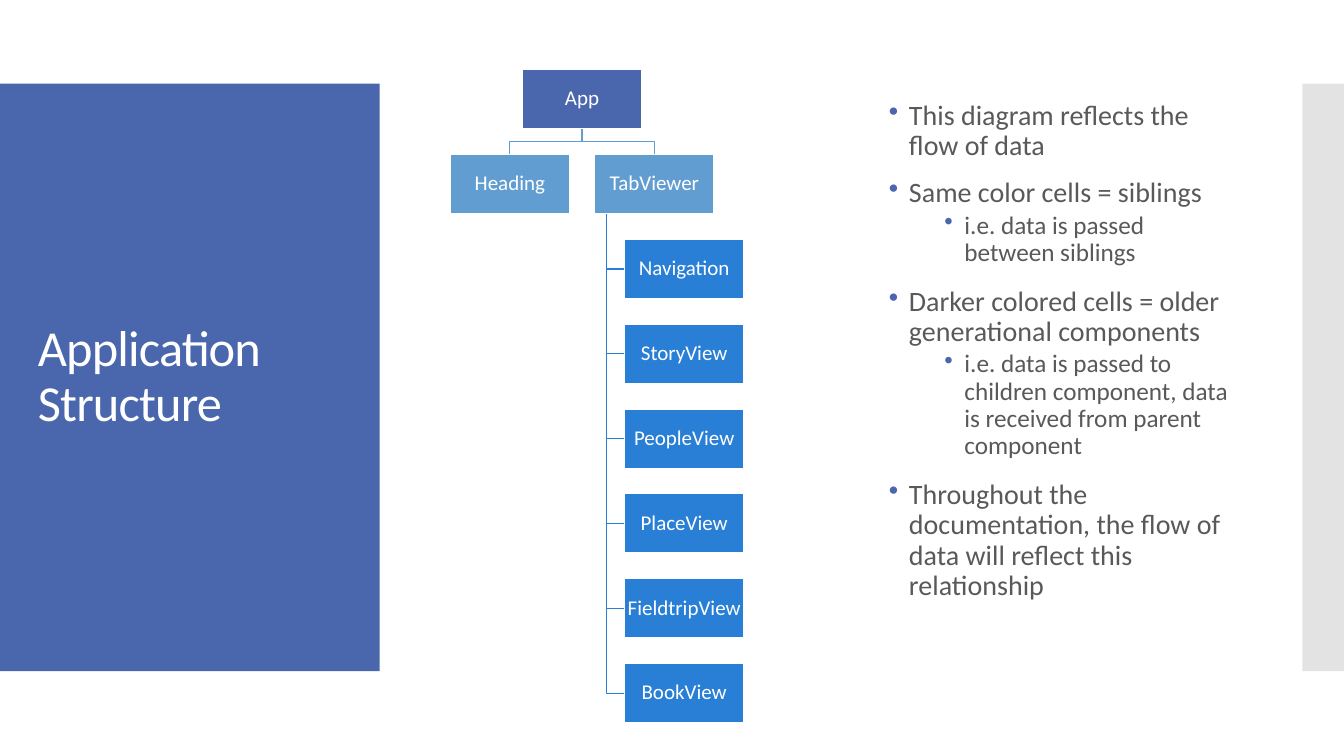
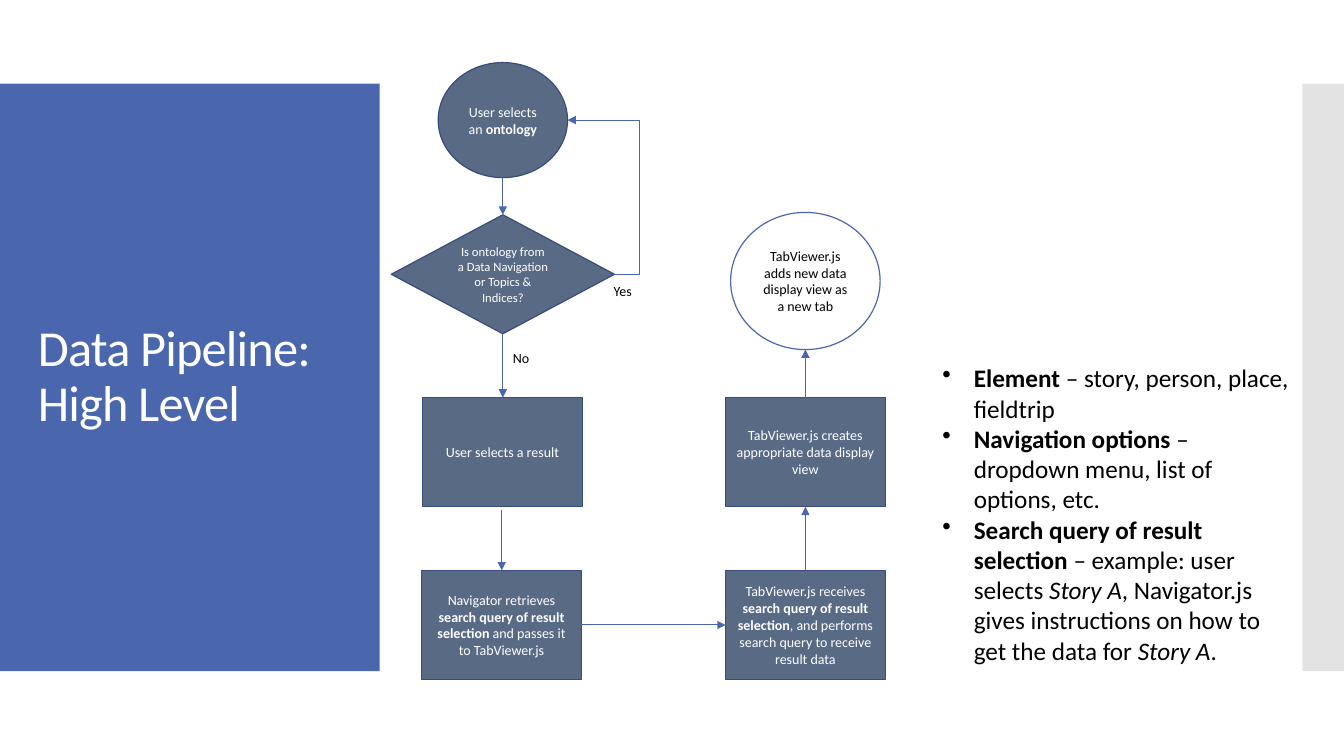
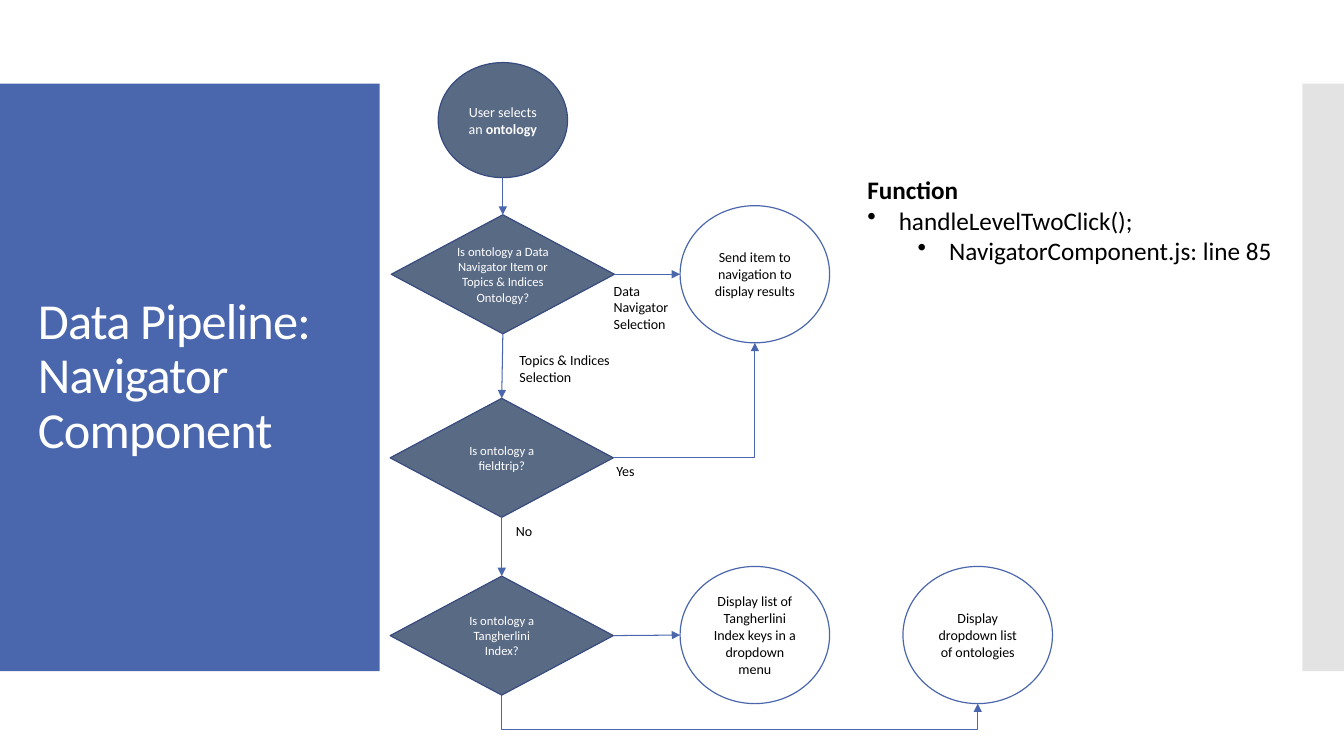
import dataclasses

import pptx
import pptx.dml.color
import pptx.enum.shapes
import pptx.enum.text
import pptx.oxml.ns
import pptx.util
from lxml import etree

Pt = pptx.util.Pt
RGB = pptx.dml.color.RGBColor.from_string
qn = pptx.oxml.ns.qn
SHAPE = pptx.enum.shapes.MSO_SHAPE
CONNECTOR = pptx.enum.shapes.MSO_CONNECTOR
ALIGN = pptx.enum.text.PP_ALIGN
ANCHOR = pptx.enum.text.MSO_ANCHOR


@dataclasses.dataclass
class Theme:
    font: str = "Calibri"
    accent: str = "4A66AC"
    strip: str = "C8C8C8"
    sibling: str = "629DD1"
    child: str = "297FD5"
    slate: str = "596A85"
    outline: str = "374B7F"
    white: str = "FFFFFF"
    black: str = "000000"
    grey: str = "595959"
    title: float = 36
    body: float = 20
    note: float = 18
    cell: float = 15
    node: float = 10
    test: float = 9
    thin: float = 0.75
    line: float = 0.85


theme = Theme()


def write(tf, paras, size, color, align=ALIGN.LEFT, anchor=ANCHOR.TOP,
          hang=0, bullet=theme.black):
    """Each paragraph is (indent, runs), each run (text, style); an indent gives a bullet."""
    tf.word_wrap = True
    tf.vertical_anchor = anchor
    for i, (indent, runs) in enumerate(paras):
        p = tf.paragraphs[0] if i == 0 else tf.add_paragraph()
        p.alignment = align
        for text, style in runs:
            r = p.add_run()
            r.text = text
            r.font.name = theme.font
            r.font.size = Pt(size)
            r.font.color.rgb = RGB(color)
            r.font.bold = style == "b"
            r.font.italic = style == "i"
        if indent:
            pPr = p._p.get_or_add_pPr()
            pPr.set("marL", str(Pt(indent)))
            pPr.set("indent", str(Pt(-hang)))
            buClr = etree.SubElement(pPr, qn("a:buClr"))
            etree.SubElement(buClr, qn("a:srgbClr"), val=bullet)
            etree.SubElement(pPr, qn("a:buChar"), char="•")


def arrow(s, kind, x1, y1, x2, y2):
    c = s.shapes.add_connector(kind, Pt(x1), Pt(y1), Pt(x2), Pt(y2))
    c.line.color.rgb = RGB(theme.accent)
    c.line.width = Pt(theme.thin)
    etree.SubElement(c.line._get_or_add_ln(), qn("a:tailEnd"), type="triangle")
    etree.SubElement(c._element.spPr, qn("a:effectLst"))
    return c


prs = pptx.Presentation()
prs.slide_width, prs.slide_height = Pt(960), Pt(540)

# Shared frame: title panel, right strip, title
titles = ["Application Structure", "Data Pipeline: High Level",
          "Data Pipeline: Navigator Component"]
for title in titles:
    s = prs.slides.add_slide(prs.slide_layouts[6])
    for left, width, color in [(0, 271.2, theme.accent), (930.4, 29.6, theme.strip)]:
        sp = s.shapes.add_shape(SHAPE.RECTANGLE, Pt(left), Pt(59.8), Pt(width), Pt(419.6))
        sp.shadow.inherit = False
        sp.fill.solid()
        sp.fill.fore_color.rgb = RGB(color)
        sp.line.fill.background()
    strip_color = sp._element.spPr.find(qn("a:solidFill")).find(qn("a:srgbClr"))
    etree.SubElement(strip_color, qn("a:alpha"), val="50000")
    sp = s.shapes.add_textbox(Pt(20), Pt(88.6), Pt(232), Pt(362))
    write(sp.text_frame, [(0, [(title, "")])], theme.title, theme.white, anchor=ANCHOR.MIDDLE)
    p = sp.text_frame.paragraphs[0]
    p.line_spacing = 0.9
    p.runs[0].font._element.set("spc", "-60")

structure, high_level, navigator = prs.slides

# Structure: remarks
remarks = [
    (0, "This diagram reflects the flow of data"),
    (0, "Same color cells = siblings"),
    (1, "i.e. data is passed between siblings"),
    (0, "Darker colored cells = older generational components"),
    (1, "i.e. data is passed to children component, data is received from parent component"),
    (0, "Throughout the documentation, the flow of data will reflect this relationship"),
]
sp = structure.shapes.add_textbox(Pt(627.8), Pt(42.5), Pt(262), Pt(417))
write(sp.text_frame, [(54 if level else 14.4, [(text, "")]) for level, text in remarks],
      theme.body, theme.grey, anchor=ANCHOR.MIDDLE, hang=14.4, bullet=theme.accent)
for p, (level, text) in zip(sp.text_frame.paragraphs, remarks):
    p.line_spacing = 0.9
    p.space_before = Pt(2.5 if level else 12)
    if level:
        p.space_after = Pt(2.5)
        p.runs[0].font.size = Pt(theme.note)

# Structure: tree on a grid of equal rows
cell_w, cell_h, tree_top, row_step = 85, 42.4, 49.7, 60.6
app_x, heading_x, viewer_x, child_x = 373.2, 321.7, 424.9, 446.2
children = ["Navigation", "StoryView", "PeopleView", "PlaceView", "FieldtripView", "BookView"]
cells = [("App", app_x, 0, theme.accent), ("Heading", heading_x, 1, theme.sibling),
         ("TabViewer", viewer_x, 1, theme.sibling)]
cells += [(name, child_x, row, theme.child) for row, name in enumerate(children, 2)]

app_mid, app_bottom = app_x + cell_w / 2, tree_top + cell_h
sibling_top = tree_top + row_step
bend_y = (app_bottom + sibling_top) / 2
trunk_x = viewer_x + cell_w / 10
branches = []
for left in (heading_x, viewer_x):
    mid = left + cell_w / 2
    branches.append((theme.sibling, [(app_mid, app_bottom), (app_mid, bend_y),
                                     (mid, bend_y), (mid, sibling_top)]))
for name, left, row, color in cells[3:]:
    y = tree_top + row * row_step + cell_h / 2
    branches.append((theme.child, [(trunk_x, sibling_top + cell_h), (trunk_x, y), (left, y)]))
for color, points in branches:
    points = [(Pt(x), Pt(y)) for x, y in points]
    fb = structure.shapes.build_freeform(*points[0])
    fb.add_line_segments(points[1:], close=False)
    sp = fb.convert_to_shape()
    sp.shadow.inherit = False
    sp.fill.background()
    sp.line.color.rgb = RGB(color)
    sp.line.width = Pt(theme.line)

for name, left, row, color in cells:
    sp = structure.shapes.add_shape(SHAPE.RECTANGLE, Pt(left), Pt(tree_top + row * row_step),
                                    Pt(cell_w), Pt(cell_h))
    sp.shadow.inherit = False
    sp.fill.solid()
    sp.fill.fore_color.rgb = RGB(color)
    sp.line.color.rgb = RGB(theme.white)
    sp.line.width = Pt(theme.line)
    tf = sp.text_frame
    tf.margin_left = tf.margin_right = tf.margin_top = tf.margin_bottom = Pt(0.7)
    write(tf, [(0, [(name, "")])], theme.cell, theme.white, ALIGN.CENTER, ANCHOR.MIDDLE)
    tf.paragraphs[0].line_spacing = 0.9

# Flowcharts: node kinds as shape, width, height, fill, line, text colour, size
kinds = {
    "start": (SHAPE.OVAL, 92.4, 82.2, theme.slate, theme.outline, theme.white, theme.node),
    "step": (SHAPE.RECTANGLE, 114, 78, theme.slate, theme.outline, theme.white, theme.node),
    "test": (SHAPE.DIAMOND, 159.4, 85, theme.slate, theme.outline, theme.white, theme.test),
    "end": (SHAPE.OVAL, 106.8, 98, theme.white, theme.accent, theme.black, theme.node),
}

# Flowcharts: nodes as slide, kind, centre x, centre y, runs
start_runs = [("User selects an ", ""), ("ontology", "b")]
nodes = [
    (high_level, "start", 359.2, 85.8, start_runs),
    (high_level, "test", 359.2, 195.9,
     [("Is ontology from a Data Navigation or Topics & Indices?", "")]),
    (high_level, "step", 358.9, 323, [("User selects a result", "")]),
    (high_level, "step", 358.2, 446.4,
     [("Navigator retrieves ", ""), ("search query of result selection ", "b"),
      ("and passes it to TabViewer.js", "")]),
    (high_level, "step", 575.3, 446.4,
     [("TabViewer.js receives ", ""), ("search query of result selection", "b"),
      (", and performs search query to receive result data", "")]),
    (high_level, "step", 575.3, 323,
     [("TabViewer.js creates appropriate data display view", "")]),
    (high_level, "end", 575.3, 200.7,
     [("TabViewer.js adds new data display view as a new tab", "")]),
    (navigator, "start", 359.2, 85.8, start_runs),
    (navigator, "test", 359.2, 195.9,
     [("Is ontology a Data Navigator Item or Topics & Indices Ontology?", "")]),
    (navigator, "test", 358.4, 327, [("Is ontology a fieldtrip?", "")]),
    (navigator, "test", 358.4, 454, [("Is ontology a Tangherlini Index?", "")]),
    (navigator, "end", 539.2, 195.9, [("Send item to navigation to display results", "")]),
    (navigator, "end", 539.2, 453.6,
     [("Display list of Tangherlini Index keys in a dropdown menu", "")]),
    (navigator, "end", 698.4, 453.6, [("Display dropdown list of ontologies", "")]),
]
for s, kind, x, y, runs in nodes:
    shape, w, h, fill, line, color, size = kinds[kind]
    sp = s.shapes.add_shape(shape, Pt(x - w / 2), Pt(y - h / 2), Pt(w), Pt(h))
    sp.shadow.inherit = False
    sp.fill.solid()
    sp.fill.fore_color.rgb = RGB(fill)
    sp.line.color.rgb = RGB(line)
    sp.line.width = Pt(theme.line)
    write(sp.text_frame, [(0, runs)], size, color, ALIGN.CENTER, ANCHOR.MIDDLE)

# Flowcharts: straight arrows
for s, x1, y1, x2, y2 in [
    (high_level, 359.2, 126.9, 359.2, 153.4),
    (high_level, 359.2, 238.4, 359.2, 284),
    (high_level, 358.4, 364.4, 358.4, 407.4),
    (high_level, 415.2, 446.4, 518.3, 446.4),
    (high_level, 575.3, 407.4, 575.3, 362),
    (high_level, 575.3, 284, 575.3, 249.7),
    (navigator, 359.2, 126.9, 359.2, 153.4),
    (navigator, 359.2, 238.4, 358.4, 284.5),
    (navigator, 358.4, 369.5, 358.4, 411.5),
    (navigator, 438.1, 454, 485.8, 453.6),
    (navigator, 438.9, 195.9, 485.8, 195.9),
]:
    arrow(s, CONNECTOR.STRAIGHT, x1, y1, x2, y2)

# Flowcharts: bent arrows as slide, ends, preset, bend position, rotation
for s, ends, preset, bend, turn in [
    (high_level, (438.9, 195.9, 405.4, 85.8), "bentConnector3", -53600, 0),
    (navigator, (438.1, 327, 539.2, 244.9), "bentConnector2", None, 0),
    (navigator, (531.5, 329.5, 525.3, 669.5), "bentConnector3", 394000, 270),
]:
    c = arrow(s, CONNECTOR.ELBOW, *ends)
    geom = c._element.spPr.find(qn("a:prstGeom"))
    geom.set("prst", preset)
    if bend is not None:
        avLst = geom.find(qn("a:avLst"))
        if avLst is None:
            avLst = etree.SubElement(geom, qn("a:avLst"))
        etree.SubElement(avLst, qn("a:gd"), name="adj1", fmla=f"val {bend}")
    if turn:
        c._element.spPr.find(qn("a:xfrm")).set("rot", str(turn * 60000))

# Flowcharts: branch labels
for s, left, top, width, height, text in [
    (high_level, 359.2, 246.3, 62, 19.4, "No"),
    (high_level, 431.3, 198, 69, 19.4, "Yes"),
    (navigator, 364, 247.7, 86, 31.5, "Topics & Indices Selection"),
    (navigator, 431.3, 198, 69, 43.6, "Data Navigator Selection"),
    (navigator, 433.2, 327, 69, 19.4, "Yes"),
    (navigator, 361.4, 369.6, 69, 19.4, "No"),
]:
    sp = s.shapes.add_textbox(Pt(left), Pt(top), Pt(width), Pt(height))
    write(sp.text_frame, [(0, [(text, "")])], theme.node, theme.black)

# Flowcharts: notes at the right
hang = 22.5
terms = [
    (hang, [("Element", "b"), (" – story, person, place, fieldtrip", "")]),
    (hang, [("Navigation options ", "b"), ("– dropdown menu, list of options, etc.", "")]),
    (hang, [("Search query of result selection ", "b"), ("– example: user selects ", ""),
            ("Story A", "i"),
            (", Navigator.js gives instructions on how to get the data for ", ""),
            ("Story A", "i"), (".", "")]),
]
function = [
    (0, [("Function", "b")]),
    (hang, [("handleLevelTwoClick();", "")]),
    (hang + 36, [("NavigatorComponent.js: line 85", "")]),
]
for s, left, top, width, height, paras in [
    (high_level, 666, 255.6, 267, 225.4, terms),
    (navigator, 612.4, 121.2, 309, 72.7, function),
]:
    sp = s.shapes.add_textbox(Pt(left), Pt(top), Pt(width), Pt(height))
    write(sp.text_frame, paras, theme.note, theme.black, hang=hang)

prs.save("out.pptx")
